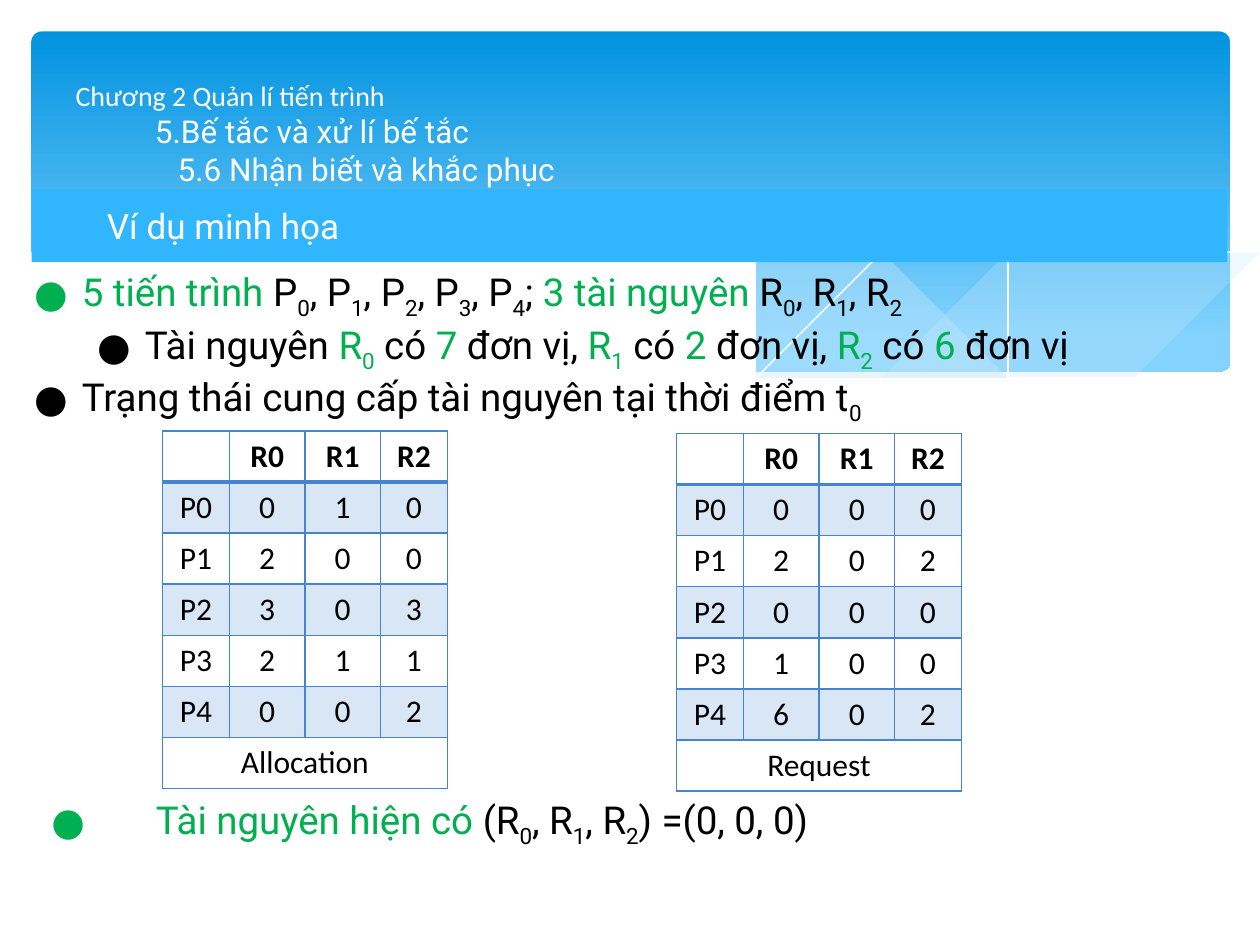
from lxml import etree
from pptx import Presentation
from pptx import util as u
from pptx.dml import color
from pptx.enum import shapes, text
from pptx.oxml import ns

BLUE, BLACK, GREEN, WHITE, PALE = "4584D3", "000000", "00B050", "FFFFFF", "C6E7FC"
LEFT_WAVE = [
    (2.86, 1.91), (3.13, 1.88), (3.44, 1.86), (3.8, 1.86), (4.2, 1.87), (4.64, 1.91),
    (5.14, 1.98), (5.69, 2.08), (6.29, 2.22), (7.06, 2.4), (7.75, 2.54), (8.37, 2.65),
    (8.93, 2.73), (8.57, 2.77), (8.18, 2.79), (7.73, 2.78), (7.22, 2.74), (6.65, 2.66),
    (6.01, 2.55), (5.3, 2.4), (4.49, 2.22), (4.04, 2.11), (3.62, 2.03), (3.23, 1.96)]
RIGHT_WAVE = [
    (9.76, 2), (9.35, 2.07), (8.91, 2.16), (8.32, 2.3), (7.79, 2.43), (7.29, 2.53),
    (6.61, 2.65), (7.05, 2.71), (7.45, 2.75), (7.81, 2.77), (8.14, 2.78), (8.54, 2.76),
    (8.89, 2.72), (9.21, 2.65), (9.49, 2.57), (9.76, 2.47)]
FALLING_LINE = [
    (3.09, 1.95), (3.43, 1.9), (3.87, 1.87), (4.33, 1.87), (4.89, 1.9), (5.56, 1.97),
    (6.36, 2.08), (6.95, 2.19), (7.6, 2.33), (8.31, 2.51), (9.07, 2.72)]
RISING_LINE = [
    (6.13, 2.57), (6.72, 2.41), (7.48, 2.23), (8.36, 2.04), (8.95, 1.94), (9.37, 1.88),
    (9.75, 1.85)]
WHITE_WAVE = [
    (9.77, 2.46), (9.5, 2.56), (9.2, 2.65), (8.87, 2.71), (8.5, 2.75), (8.09, 2.77),
    (7.61, 2.75), (7.08, 2.7), (6.47, 2.62), (5.79, 2.5), (5.03, 2.33), (4.18, 2.13),
    (3.65, 2.02), (3.15, 1.94), (2.71, 1.88), (2.3, 1.85), (1.93, 1.84), (1.46, 1.85),
    (1.06, 1.89), (0.75, 1.95), (0.46, 2.03), (0.23, 2.13), (0.23, 3.29), (9.77, 3.29)]


def rgb(value):
    """Turn a hex string into a colour."""
    return color.RGBColor.from_string(value)


def set_attrs(obj, values):
    """Set each named attribute on an object."""
    for name, value in values.items():
        setattr(obj, name, value)


def place(sp, left, top, width, height):
    """Move and size a shape, in inches."""
    for name, value in zip(("left", "top", "width", "height"), (left, top, width, height)):
        setattr(sp, name, u.Inches(value))


def paint(fill, value, alpha=100):
    """Fill with one colour at a given opacity in percent."""
    fill.solid()
    fill.fore_color.rgb = rgb(value)
    if alpha < 100:
        clr = fill._xPr.find(".//" + ns.qn("a:srgbClr"))
        etree.SubElement(clr, ns.qn("a:alpha")).set("val", str(alpha * 1000))


def add_run(p, words, size, value=BLACK, font="Roboto", bold=False, sub=False):
    """Append a formatted run to a paragraph."""
    r = p.add_run()
    r.text = words
    set_attrs(r.font, {"size": u.Pt(size), "name": font, "bold": bold})
    r.font.color.rgb = rgb(value)
    if sub:
        r.font._element.set("baseline", "-25000")


def add_marked(p, words, size):
    """Add runs in which * toggles green and _ lowers the next character."""
    for i, part in enumerate(words.split("*")):
        value = GREEN if i % 2 else BLACK
        plain, *lowered = part.split("_")
        pieces = [(plain, False)]
        for piece in lowered:
            pieces += [(piece[0], True), (piece[1:], False)]
        for piece, sub in pieces:
            if piece:
                add_run(p, piece, size, value, sub=sub)


def indent(p, left, first=0, bullet=None):
    """Set paragraph indents in inches and an optional bullet."""
    pPr = p._p.get_or_add_pPr()
    pPr.set("marL", str(u.Inches(left)))
    pPr.set("indent", str(u.Inches(first)))
    if bullet:
        etree.SubElement(pPr, ns.qn("a:buFont")).set("typeface", "Roboto")
        etree.SubElement(pPr, ns.qn("a:buChar")).set("char", bullet)
    set_attrs(p, {"space_before": u.Pt(0), "alignment": text.PP_ALIGN.LEFT})


def frame(sp, anchor):
    """Prepare the text frame of a shape."""
    tf = sp.text_frame
    set_attrs(tf, {"word_wrap": True, "auto_size": text.MSO_AUTO_SIZE.NONE,
                   "vertical_anchor": anchor})
    return tf


def paragraphs(tf, items):
    """Yield a paragraph of the frame with each item."""
    for i, item in enumerate(items):
        yield (tf.add_paragraph() if i else tf.paragraphs[0]), item


def add_bullets(sp, items):
    """Write bulleted lines given as level, indent, hanging and words."""
    for p, (level, left, hang, words) in paragraphs(frame(sp, text.MSO_ANCHOR.TOP), items):
        p.level = level
        indent(p, left, -hang, "●")
        add_marked(p, words, 22)


def add_outline(group, points, value, alpha=100, closed=True):
    """Draw a filled wave or an open hairline."""
    fb = group.shapes.build_freeform(*points[0], scale=u.Inches(1))
    fb.add_line_segments(points[1:], close=closed)
    sp = fb.convert_to_shape()
    sp.shadow.inherit = False
    if closed:
        paint(sp.fill, value, alpha)
        sp.line.fill.background()
    else:
        sp.fill.background()
        sp.line.color.rgb = rgb(value)
        sp.line.width = u.Pt(0)


def add_banner(s):
    """Draw the gradient banner and its waves."""
    sp = s.shapes.add_shape(shapes.MSO_SHAPE.ROUNDED_RECTANGLE, 0, 0, 0, 0)
    place(sp, 0.25, 0.25, 9.51, 2.7)
    sp.adjustments[0] = 0.03
    sp.shadow.inherit = False
    sp.line.fill.background()
    sp.fill.gradient()
    sp.fill.gradient_angle = 270
    for stop, (at, value) in zip(sp.fill.gradient_stops, ((0, "0293E0"), (0.9, "83D3FE"))):
        stop.position = at
        stop.color.rgb = rgb(value)
    group = s.shapes.add_group_shape()
    add_outline(group, RIGHT_WAVE, PALE, 29)
    add_outline(group, LEFT_WAVE, PALE, 40)
    add_outline(group, FALLING_LINE, WHITE, closed=False)
    add_outline(group, RISING_LINE, WHITE, closed=False)
    add_outline(group, WHITE_WAVE, WHITE)


def add_title(sp):
    """Write the stepped three-line title."""
    place(sp, 0.5, 0.37, 9, 1.37)
    lines = [(0, 16, "Calibri", "Chương 2 Quản lí tiến trình"),
             (0.63, 18, "Roboto", "5.Bế tắc và xử lí bế tắc"),
             (0.81, 18, "Roboto", "5.6 Nhận biết và khắc phục")]
    for p, (left, size, font, words) in paragraphs(frame(sp, text.MSO_ANCHOR.MIDDLE), lines):
        indent(p, left)
        add_run(p, words, size, WHITE, font)


def add_band(s, words):
    """Draw the subtitle band."""
    sp = s.shapes.add_shape(shapes.MSO_SHAPE.RECTANGLE, 0, 0, 0, 0)
    place(sp, 0.25, 1.5, 9.49, 0.58)
    sp.shadow.inherit = False
    paint(sp.fill, "31B6FD")
    sp.line.fill.background()
    p = frame(sp, text.MSO_ANCHOR.MIDDLE).paragraphs[0]
    indent(p, 0.5)
    add_run(p, words, 20, WHITE)


def set_borders(cell, header):
    """Outline a cell, with a heavier rule under or over the header edge."""
    tcPr = cell._tc.get_or_add_tcPr()
    for i, side in enumerate(("lnL", "lnR", "lnT", "lnB")):
        ln = etree.Element(ns.qn("a:" + side), w=str(u.Pt(2 if header == side else 1)))
        fill = etree.SubElement(ln, ns.qn("a:solidFill"))
        etree.SubElement(fill, ns.qn("a:srgbClr")).set("val", BLUE)
        tcPr.insert(i, ln)


def add_matrix(s, left, top, caption, values):
    """Add a table of processes against resources with a caption row."""
    rows = [["", "R0", "R1", "R2"]]
    rows += [[f"P{i}", *digits] for i, digits in enumerate(values)]
    rows.append([caption, "", "", ""])
    widths = (0.53, 0.6, 0.6, 0.53)
    tbl = s.shapes.add_table(len(rows), 4, u.Inches(left), u.Inches(top),
                             u.Inches(sum(widths)), u.Inches(0.4 * len(rows))).table
    for col, width in zip(tbl.columns, widths):
        col.width = u.Inches(width)
    last = len(rows) - 1
    for i, row in enumerate(rows):
        for j, words in enumerate(row):
            cell = tbl.cell(i, j)
            if i % 2:
                paint(cell.fill, BLUE, 20)
            else:
                cell.fill.background()
            set_borders(cell, {0: "lnB", 1: "lnT"}.get(i))
            p = cell.text_frame.paragraphs[0]
            p.alignment = text.PP_ALIGN.CENTER
            if words:
                add_run(p, words, 18, font="Calibri", bold=i == 0)
    tbl.cell(last, 0).merge(tbl.cell(last, 3))


def main():
    """Build the slide and save it."""
    prs = Presentation()
    set_attrs(prs, {"slide_width": u.Inches(10), "slide_height": u.Inches(7.5)})
    s = prs.slides.add_slide(prs.slide_layouts[1])
    title, body = s.placeholders
    add_banner(s)
    s.shapes._spTree.append(title._element)
    add_title(title)
    add_band(s, "Ví dụ minh họa")
    s.shapes._spTree.append(body._element)
    place(body, 0.17, 2.08, 9.57, 1.21)
    add_bullets(body, [
        (0, 0.38, 0.38, "*5 tiến trình *P_0, P_1, P_2, P_3, P_4; *3 tài nguyên *R_0, R_1, R_2"),
        (1, 0.88, 0.38, "Tài nguyên *R_0* có *7* đơn vị, *R_1* có *2* đơn vị, *R_2* có *6* đơn vị"),
        (0, 0.38, 0.38, "Trạng thái cung cấp tài nguyên tại thời điểm t_0")])
    add_matrix(s, 5.37, 3.44, "Request", ["000", "202", "000", "100", "602"])
    add_matrix(s, 1.29, 3.42, "Allocation", ["010", "200", "303", "211", "002"])
    sp = s.shapes.add_textbox(0, 0, 0, 0)
    place(sp, 0.31, 6.27, 9.17, 0.47)
    add_bullets(sp, [(0, 0.83, 0.83, "*Tài nguyên hiện có *(R_0, R_1, R_2) =(0, 0, 0)")])
    prs.save("out.pptx")


if __name__ == "__main__":
    main()
